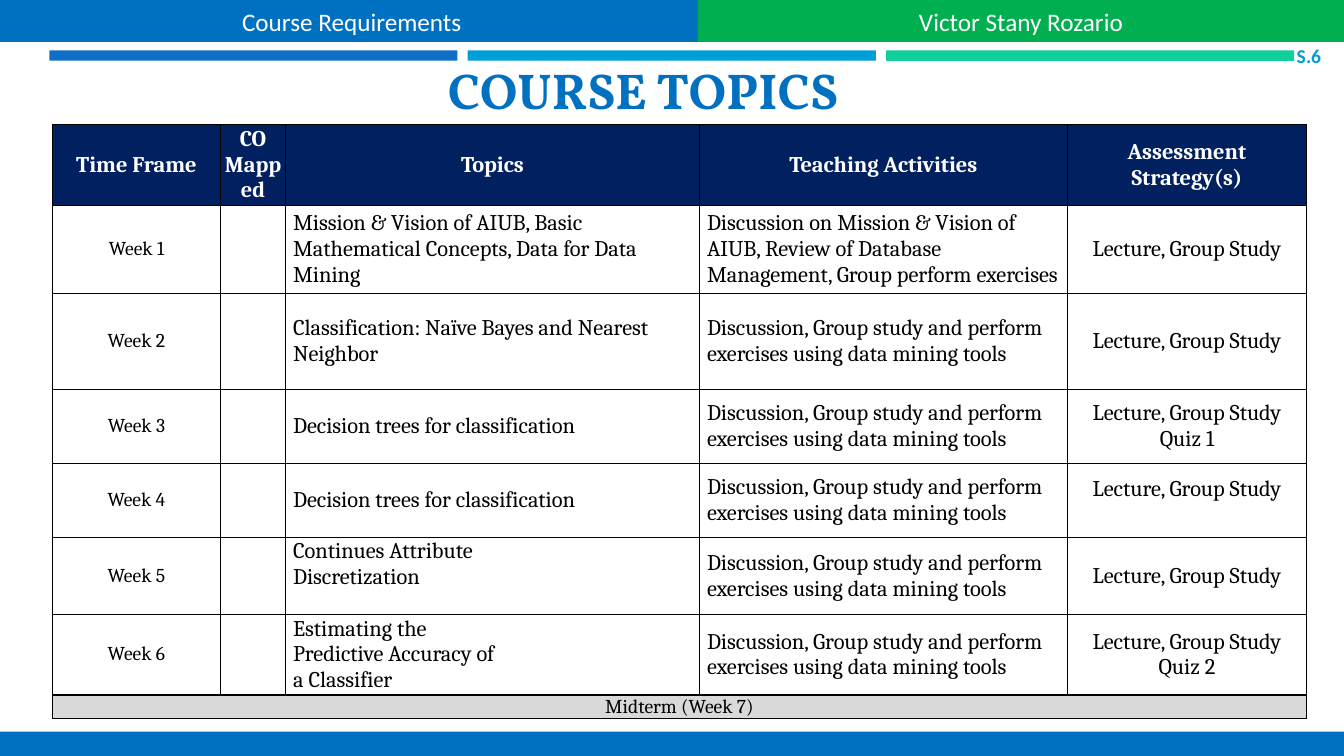
from lxml import etree
from pptx import Presentation
from pptx.dml.color import RGBColor
from pptx.enum import shapes, text
from pptx.oxml.ns import qn
from pptx.util import Pt

COLORS = {
    "blue": "0070C0", "green": "00B050", "royal": "0F6FC6", "sky": "009DD9",
    "mint": "10CF9B", "navy": "002060", "grey": "D9D9D9",
    "white": "FFFFFF", "black": "000000",
}
CENTER, LEFT, RIGHT = text.PP_ALIGN.CENTER, text.PP_ALIGN.LEFT, text.PP_ALIGN.RIGHT
MIDDLE, BOTTOM = text.MSO_ANCHOR.MIDDLE, text.MSO_ANCHOR.BOTTOM


def write(frame, lines, size, font, color, bold=False, align=CENTER):
    frame.word_wrap = True
    for index, line in enumerate(lines):
        para = frame.add_paragraph() if index else frame.paragraphs[0]
        para.text = line
        para.alignment = align
        para.font.size = Pt(size)
        para.font.name = font
        para.font.bold = bold
        para.font.color.rgb = RGBColor.from_string(COLORS[color])


def style_cell(cell, fill, margin):
    cell.vertical_anchor = MIDDLE
    cell.margin_left = cell.margin_right = Pt(margin)
    cell.margin_top = cell.margin_bottom = Pt(0)
    properties = cell._tc.get_or_add_tcPr()
    for side in ("a:lnL", "a:lnR", "a:lnT", "a:lnB"):
        border = etree.SubElement(properties, qn(side), w="12700")
        solid = etree.SubElement(border, qn("a:solidFill"))
        etree.SubElement(solid, qn("a:srgbClr"), val=COLORS["black"])
    if fill:
        cell.fill.solid()
        cell.fill.fore_color.rgb = RGBColor.from_string(COLORS[fill])
    else:
        cell.fill.background()


deck = Presentation()
deck.slide_width, deck.slide_height = Pt(960), Pt(540)
page = deck.slides.add_slide(deck.slide_layouts[6])

bars = [
    (35.2, 36, 291.6, 7.4, "royal", ""),
    (632.9, 36, 291.6, 7.6, "mint", ""),
    (334.1, 36, 291.6, 7.4, "sky", ""),
    (0, 522.5, 960, 17.5, "blue", ""),
    (0, 0, 502.5, 30, "blue", "Course Requirements"),
    (498.5, 0, 461.5, 30, "green", "Victor Stany Rozario"),
]
for left, top, width, height, color, label in bars:
    bar = page.shapes.add_shape(
        shapes.MSO_SHAPE.RECTANGLE, Pt(left), Pt(top), Pt(width), Pt(height))
    bar.shadow.inherit = False
    bar.fill.solid()
    bar.fill.fore_color.rgb = RGBColor.from_string(COLORS[color])
    bar.line.fill.background()
    if label:
        bar.text_frame.vertical_anchor = MIDDLE
        write(bar.text_frame, [label], 18, "Calibri", "white")

title = page.shapes.add_textbox(Pt(25.2), Pt(32.4), Pt(868.4), Pt(56.9))
title.text_frame.vertical_anchor = BOTTOM
write(title.text_frame, ["COURSE TOPICS"], 36, "Vollkorn", "blue", True)

number = page.shapes.add_textbox(Pt(912.2), Pt(32), Pt(38), Pt(15))
number.text_frame.vertical_anchor = MIDDLE
number.text_frame.margin_left = number.text_frame.margin_top = Pt(0)
number.text_frame.margin_right, number.text_frame.margin_bottom = Pt(6.5), Pt(0)
write(number.text_frame, ["S.6"], 14, "Calibri", "sky", True, RIGHT)

headings = [["Time Frame"], ["CO", "Mapped"], ["Topics"],
            ["Teaching Activities"], ["Assessment Strategy(s)"]]
practice = "Discussion, Group study and perform exercises using data mining tools"
lecture = "Lecture, Group Study"
weeks = [
    (["Mission & Vision of AIUB, Basic Mathematical Concepts, Data for Data Mining"],
     "Discussion on Mission & Vision of AIUB, Review of Database Management, "
     "Group perform exercises", [lecture]),
    (["Classification: Naïve Bayes and Nearest", "Neighbor"], practice, [lecture]),
    (["Decision trees for classification"], practice, [lecture, "Quiz 1"]),
    (["Decision trees for classification"], practice, [lecture]),
    (["Continues Attribute", "Discretization"], practice, [lecture]),
    (["Estimating the", "Predictive Accuracy of", "a Classifier"], practice,
     [lecture, "Quiz 2"]),
]
column_widths = [120, 46.5, 295.7, 262.8, 170.8]
row_heights = [55.7, 62.9, 68.6, 52.9, 52.9, 52.9, 55, 16.4]
last = len(row_heights) - 1

holder = page.shapes.add_table(
    len(row_heights), len(column_widths), Pt(37.5), Pt(89),
    Pt(sum(column_widths)), Pt(sum(row_heights)))
table = holder.table
table.first_row = table.horz_banding = False
for column, width in zip(table.columns, column_widths):
    column.width = Pt(width)
for index, height in enumerate(row_heights):
    table.rows[index].height = Pt(height)
    fill = {0: "navy", last: "grey"}.get(index)
    for cell in table.rows[index].cells:
        style_cell(cell, fill, 5.4 if index else 2.7)

for index, heading in enumerate(headings):
    write(table.cell(0, index).text_frame, heading, 16, "Cambria", "white", True)

for week, (topics, activity, assessment) in enumerate(weeks, 1):
    entries = [
        (0, [f"Week {week}"], 14, CENTER),
        (2, topics, 16, LEFT),
        (3, [activity], 16, LEFT),
        (4, assessment, 16, CENTER),
    ]
    for column, lines, size, align in entries:
        write(table.cell(week, column).text_frame, lines, size, "Cambria", "black",
              align=align)
for row, column in ((4, 4), (5, 2)):
    table.cell(row, column).margin_bottom = Pt(16.5)

table.cell(last, 0).merge(table.cell(last, len(column_widths) - 1))
write(table.cell(last, 0).text_frame, ["Midterm (Week 7)"], 14, "Cambria", "black")

deck.save("out.pptx")
